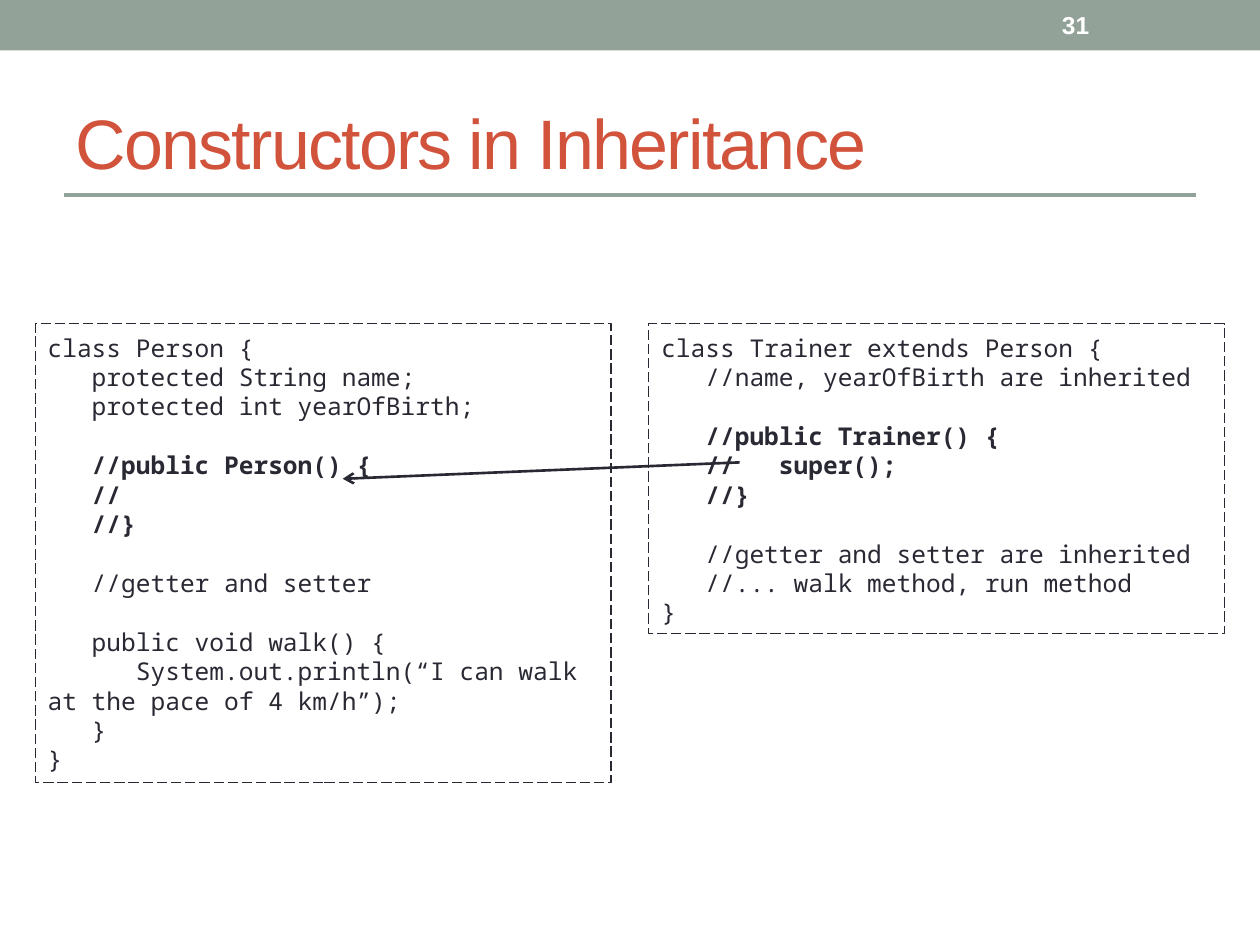
import dataclasses

import pptx
import pptx.dml.color
import pptx.enum.dml
import pptx.enum.shapes
import pptx.enum.text
import pptx.oxml.ns
import pptx.util
from lxml import etree


@dataclasses.dataclass(frozen=True)
class Theme:
    sage: str = "93A299"
    ink: str = "292934"
    accent: str = "D2533C"
    white: str = "FFFFFF"
    sans: str = "Arial"
    mono: str = "Noto Sans Mono"
    title_size: float = 40
    text_size: float = 14
    code_pitch: float = 16.8


COLUMNS, ROWS = 100, 75
MIDDLE = pptx.enum.text.MSO_ANCHOR.MIDDLE
TOP = pptx.enum.text.MSO_ANCHOR.TOP


def rgb(value):
    return pptx.dml.color.RGBColor.from_string(value)


def write(paragraph, text, *, font, size, color, bold=False, tracking=None):
    run = paragraph.add_run()
    run.text = text
    run.font.name = font
    run.font.size = pptx.util.Pt(size)
    run.font.bold = bold
    run.font.color.rgb = rgb(color)
    if tracking is not None:
        run.font._element.set("spc", str(round(tracking * 100)))
    paragraph.alignment = pptx.enum.text.PP_ALIGN.LEFT


class Deck:
    def __init__(self, theme):
        self.theme = theme
        self.file = pptx.Presentation()
        self.file.slide_width = pptx.util.Inches(10)
        self.file.slide_height = pptx.util.Inches(7.5)
        self.slide = self.file.slides.add_slide(self.file.slide_layouts[5])

    def x(self, columns):
        return round(self.file.slide_width * columns / COLUMNS)

    def y(self, rows):
        return round(self.file.slide_height * rows / ROWS)

    def area(self, left, top, width, height):
        return self.x(left), self.y(top), self.x(width), self.y(height)

    def frame(self, holder, anchor):
        frame = holder.text_frame
        frame.word_wrap = True
        frame.vertical_anchor = anchor
        return frame

    def title(self, text, area):
        heading = self.slide.shapes.title
        heading.left, heading.top, heading.width, heading.height = self.area(*area)
        write(self.frame(heading, MIDDLE).paragraphs[0], text, font=self.theme.sans,
              size=self.theme.title_size, color=self.theme.accent, tracking=-1)

    def rectangle(self, area):
        rectangle = self.slide.shapes.add_shape(
            pptx.enum.shapes.MSO_SHAPE.RECTANGLE, *self.area(*area))
        rectangle.shadow.inherit = False
        return rectangle

    def band(self, area):
        band = self.rectangle(area)
        band.fill.solid()
        band.fill.fore_color.rgb = rgb(self.theme.sage)
        band.line.fill.background()

    def page_number(self, text, area):
        number = self.slide.shapes.add_textbox(*self.area(*area))
        write(self.frame(number, MIDDLE).paragraphs[0], text, font=self.theme.sans,
              size=self.theme.text_size, color=self.theme.white, bold=True)

    def line(self, start, end, color, width, arrow=False):
        line = self.slide.shapes.add_connector(
            pptx.enum.shapes.MSO_CONNECTOR.STRAIGHT,
            self.x(start[0]), self.y(start[1]), self.x(end[0]), self.y(end[1]))
        line.line.color.rgb = rgb(color)
        line.line.width = pptx.util.Pt(width)
        if arrow:
            etree.SubElement(line.line._get_or_add_ln(),
                             pptx.oxml.ns.qn("a:tailEnd"), type="arrow")
        etree.SubElement(line._element.spPr, pptx.oxml.ns.qn("a:effectLst"))

    def code(self, source, area, bold_lines):
        listing = self.rectangle(area)
        listing.fill.background()
        listing.line.color.rgb = rgb(self.theme.ink)
        listing.line.width = pptx.util.Pt(0.75)
        listing.line.dash_style = pptx.enum.dml.MSO_LINE.LONG_DASH
        frame = self.frame(listing, TOP)
        frame.margin_top = pptx.util.Inches(0.07)
        pitch = pptx.util.Pt(self.theme.code_pitch)
        paragraph = frame.paragraphs[0]
        for block_index, block in enumerate(source.strip().split("\n\n")):
            for line_index, text in enumerate(block.split("\n")):
                if block_index or line_index:
                    paragraph = frame.add_paragraph()
                paragraph.line_spacing = pitch
                if block_index and not line_index:
                    paragraph.space_before = pitch
                write(paragraph, text, font=self.theme.mono,
                      size=self.theme.text_size, color=self.theme.ink,
                      bold=text.strip() in bold_lines)


PERSON = """
class Person {
   protected String name;
   protected int yearOfBirth;

   //public Person() {
   //
   //}

   //getter and setter

   public void walk() {
      System.out.println(“I can walk at the pace of 4 km/h”);
   }
}
"""

TRAINER = """
class Trainer extends Person {
   //name, yearOfBirth are inherited

   //public Trainer() {
   //   super();
   //}

   //getter and setter are inherited
   //... walk method, run method
}
"""

CONSTRUCTOR_LINES = {"//public Person() {", "//", "//}",
                     "//public Trainer() {", "//   super();"}


def main():
    theme = Theme()
    deck = Deck(theme)
    deck.band((0, 0, COLUMNS, 4))
    deck.line((5.1, 15.5), (94.9, 15.5), theme.sage, 2.5)
    deck.title("Constructors in Inheritance", (5, 5.8, 90, 10.8))

    margin, width, top = 2.8, 45.7, 25.7
    deck.code(PERSON, (margin, top, width, 36.4), CONSTRUCTOR_LINES)
    deck.code(TRAINER, (COLUMNS - margin - width, top, width, 24.6),
              CONSTRUCTOR_LINES)
    deck.line((58.7, 36.7), (27.2, 38), theme.ink, 1.5, arrow=True)
    deck.page_number("31", (83.3, 0.2, 11.7, 3.6))
    deck.file.save("out.pptx")


if __name__ == "__main__":
    main()
